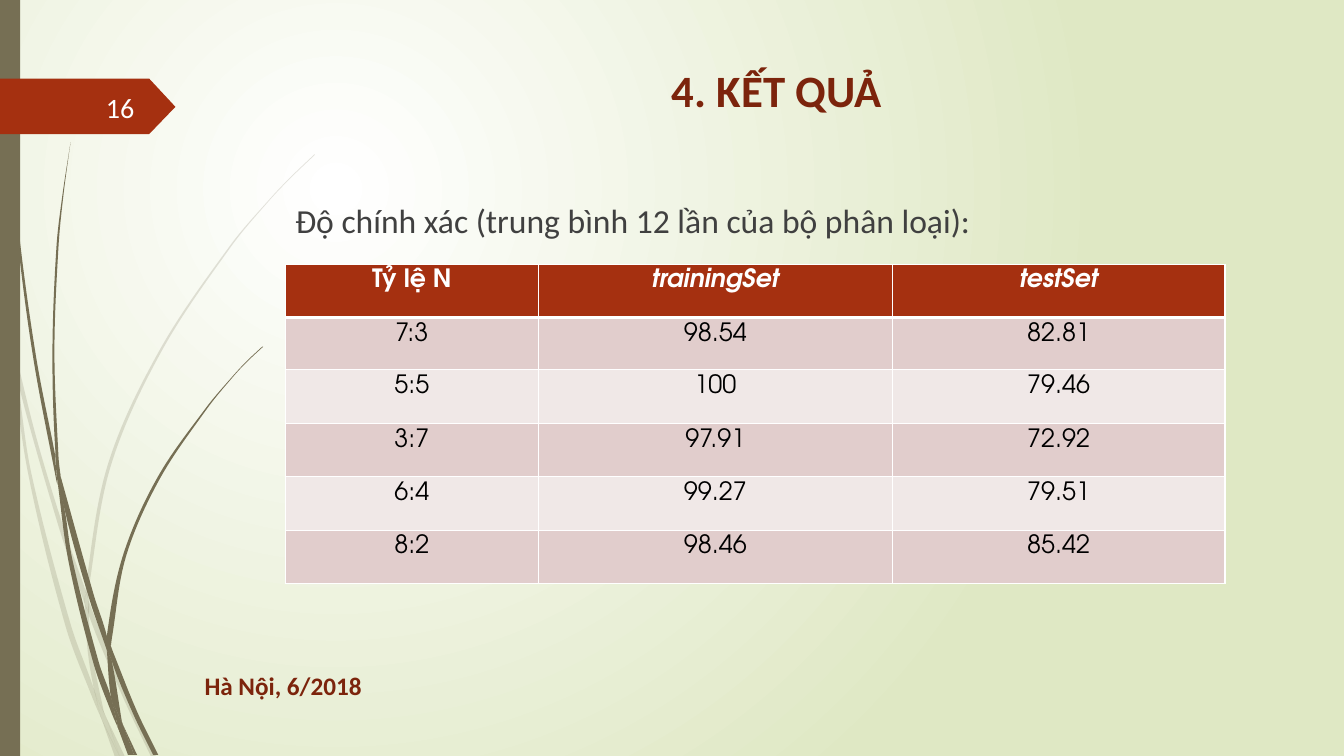
from dataclasses import dataclass
from math import dist

from lxml import etree
from pptx import Presentation
from pptx.dml.color import RGBColor
from pptx.enum.shapes import MSO_SHAPE
from pptx.enum.text import MSO_ANCHOR, PP_ALIGN
from pptx.oxml.ns import qn
from pptx.shapes.autoshape import Shape
from pptx.slide import Slide
from pptx.table import _Cell
from pptx.text.text import _Paragraph
from pptx.util import Emu, Pt

LEFT, CENTER, RIGHT = PP_ALIGN.LEFT, PP_ALIGN.CENTER, PP_ALIGN.RIGHT
TOP, MIDDLE = MSO_ANCHOR.TOP, MSO_ANCHOR.MIDDLE
RECTANGLE = MSO_SHAPE.RECTANGLE
PX = 9144
Point = tuple[float, float]


@dataclass(frozen=True)
class Theme:
    white: str = "FFFFFF"
    number: str = "FEFFFF"
    green: str = "DFE8C4"
    olive: str = "766F54"
    rust: str = "A53010"
    heading: str = "7C240C"
    body: str = "404040"
    black: str = "000000"
    bands: tuple[str, str] = ("E1CDCC", "F0E8E7")
    font: str = "Calibri"
    table_font: str = "TeX Gyre Adventor"
    title_size: int = 32
    body_size: int = 24
    number_size: int = 20
    small_size: int = 18


THEME = Theme()


@dataclass(frozen=True)
class Blade:
    left: tuple[Point, ...]
    right: tuple[Point, ...]


@dataclass(frozen=True)
class Label:
    text: str
    box: tuple[int, int, int, int]
    size: int
    color: str
    bold: bool = False
    align: PP_ALIGN = LEFT
    anchor: MSO_ANCHOR = TOP
    wrap: bool = True
    space_before: int = 0


PALE_BLADES = (
    Blade(((0, 299), (10, 344), (11, 350)), ((0, 282), (9, 322), (11, 350))),
    Blade(((14, 345), (17, 376), (58, 522), (84, 599)), ((14, 345), (36, 434), (62, 520), (85, 586))),
    Blade(((88, 596), (88, 610), (123, 694), (150, 751)), ((88, 596), (92, 607), (127, 692), (155, 751))),
    Blade(((105, 711), (119, 751)), ((105, 711), (124, 751))),
    Blade(((11, 350), (28, 470), (65, 621), (92, 693), (101, 714)),
          ((11, 350), (17, 376), (31, 469), (70, 619), (93, 683), (99, 707), (101, 714))),
    Blade(((84, 599), (87, 646), (93, 683), (96, 692), (105, 711)),
          ((84, 599), (88, 608), (88, 610), (91, 646), (103, 706), (105, 711))),
    Blade(((312, 153), (289, 175), (268, 197), (228, 244), (158, 348), (107, 461), (85, 584), (88, 596)),
          ((312, 154), (290, 175), (268, 198), (229, 245), (160, 349), (110, 462), (88, 584), (88, 596))),
    Blade(((101, 714), (114, 751)), ((101, 714), (119, 751))),
    Blade(((85, 586), (84, 599), (88, 608), (88, 610)), ((85, 586), (88, 596), (88, 610))),
    Blade(((93, 683), (99, 707), (101, 714), (119, 751)), ((93, 683), (96, 692), (105, 711), (119, 751))),
)
DARK_BLADES = (
    Blade(((3, 0), (4, 48), (7, 110), (17, 233), (33, 355), (56, 477), (57, 481)),
          ((4, 0), (5, 48), (8, 109), (19, 232), (36, 355), (55, 453), (55, 457), (57, 481))),
    Blade(((60, 472), (64, 505), (88, 592), (106, 645)), ((60, 472), (93, 590), (106, 631), (106, 645))),
    Blade(((110, 641), (111, 656), (132, 708), (152, 749)), ((110, 641), (113, 649), (136, 706), (157, 749))),
    Blade(((57, 477), (68, 557), (93, 659), (111, 708), (117, 722)),
          ((57, 477), (64, 505), (72, 556), (98, 657), (110, 691), (116, 717), (117, 722))),
    Blade(((70, 141), (62, 193), (56, 245), (52, 349), (55, 449), (60, 472)),
          ((70, 141), (63, 193), (58, 245), (54, 349), (58, 453), (60, 472))),
    Blade(((122, 719), (133, 749)), ((122, 719), (136, 749))),
    Blade(((55, 449), (55, 453), (57, 477), (64, 505)), ((55, 449), (60, 472), (64, 505))),
    Blade(((260, 344), (245, 358), (231, 373), (204, 405), (156, 474), (122, 551), (106, 631), (110, 641)),
          ((261, 344), (245, 359), (231, 374), (205, 406), (158, 476), (125, 552), (111, 633), (110, 641))),
    Blade(((117, 722), (127, 749)), ((117, 722), (131, 749))),
    Blade(((106, 645), (110, 691), (116, 706), (122, 719)), ((106, 645), (111, 656), (121, 716), (122, 719))),
    Blade(((106, 631), (106, 645), (109, 651), (111, 656)), ((106, 631), (110, 641), (111, 656))),
    Blade(((110, 691), (116, 717), (117, 722), (130, 749)), ((110, 691), (116, 706), (122, 719), (133, 749))),
)
BAR = (0, 0, 20, 750)
NUMBER_TAG = ((0, 78), (148, 78), (174, 106), (148, 133), (0, 133))
LABELS = (
    Label("4. KẾT QUẢ", (283, 57, 975, 95), THEME.title_size, THEME.heading, True, CENTER),
    Label("Hà Nội, 6/2018", (193, 660, 179, 40), THEME.small_size, THEME.heading, True, wrap=False),
    Label("16", (58, 86, 85, 40), THEME.number_size, THEME.number, align=RIGHT, anchor=MIDDLE),
    Label("Độ chính xác (trung bình 12 lần của bộ phân loại):", (283, 193, 975, 452),
          THEME.body_size, THEME.body, space_before=10),
)
TABLE_BOX = (283, 262, 932, 316)
COLUMN_WIDTHS = (251, 351, 330)
ROW_HEIGHTS = (53, 52, 53, 53, 53, 53)
ACCURACY = (
    ("Tỷ lệ N", "trainingSet", "testSet"),
    ("7:3", "98.54", "82.81"),
    ("5:5", "100", "79.46"),
    ("3:7", "97.91", "72.92"),
    ("6:4", "99.27", "79.51"),
    ("8:2", "98.46", "85.42"),
)


def px(length: float) -> Emu:
    """Turn a length in px into EMU."""
    return Emu(round(length * PX))


def set_values(target: object, values: dict[str, object]) -> None:
    """Set each named attribute on the target."""
    for name, value in values.items():
        setattr(target, name, value)


def write_text(paragraph: _Paragraph, text: str, align: PP_ALIGN, color: str, font: dict[str, object]) -> None:
    """Put one formatted run into a paragraph."""
    paragraph.alignment = align
    run = paragraph.add_run()
    run.text = text
    set_values(run.font, font)
    run.font.color.rgb = RGBColor.from_string(color)


def curves(knots: tuple[Point, ...]) -> list[tuple[Point, Point, Point]]:
    """Give two handles and an end for each smooth segment."""
    slopes = []
    for index, knot in enumerate(knots):
        before, after = knots[max(index - 1, 0)], knots[min(index + 1, len(knots) - 1)]
        span = dist(before, knot) + dist(knot, after)
        slopes.append(((after[0] - before[0]) / span, (after[1] - before[1]) / span))
    segments = []
    for start, end, leave, arrive in zip(knots, knots[1:], slopes, slopes[1:]):
        reach = dist(start, end) / 3
        segments.append(((start[0] + reach * leave[0], start[1] + reach * leave[1]),
                         (end[0] - reach * arrive[0], end[1] - reach * arrive[1]), end))
    return segments


def paint(shape: Shape, color: str) -> None:
    """Give a shape a plain fill without line or shadow."""
    shape.shadow.inherit = False
    shape.fill.solid()
    shape.fill.fore_color.rgb = RGBColor.from_string(color)
    shape.line.fill.background()


def add_outline(slide: Slide, points: list[Point], color: str) -> Shape:
    """Draw a closed filled outline."""
    corners = [(px(x), px(y)) for x, y in points]
    builder = slide.shapes.build_freeform(*corners[0])
    builder.add_line_segments(corners[1:], close=True)
    shape = builder.convert_to_shape()
    paint(shape, color)
    return shape


def add_blade(slide: Slide, blade: Blade, opacity: int) -> None:
    """Draw one curved piece of grass."""
    tips = (blade.left[-1], blade.right[-1])
    cap = curves(tips) if tips[0] != tips[1] else []
    segments = curves(blade.left) + cap + curves(blade.right[::-1])
    shape = add_outline(slide, [blade.left[0], *(segment[-1] for segment in segments)], THEME.olive)
    for line, segment in zip(list(shape.element.iter(qn("a:lnTo"))), segments):
        curve = etree.Element(qn("a:cubicBezTo"))
        for x, y in segment:
            etree.SubElement(curve, qn("a:pt"), x=str(px(x) - shape.left), y=str(px(y) - shape.top))
        line.getparent().replace(line, curve)
    if opacity < 100:
        color = next(shape.element.spPr.iter(qn("a:srgbClr")))
        etree.SubElement(color, qn("a:alpha"), val=str(opacity * 1000))


def paint_background(slide: Slide) -> None:
    """Fill the background with a round gradient."""
    fill = slide.background.fill
    fill.gradient()
    for stop, color, position in zip(fill.gradient_stops, (THEME.white, THEME.green), (0, 1)):
        stop.color.rgb = RGBColor.from_string(color)
        stop.position = position
    gradient = next(slide.element.iter(qn("a:gradFill")))
    gradient.remove(gradient.find(qn("a:lin")))
    circle = etree.SubElement(gradient, qn("a:path"), path="circle")
    etree.SubElement(circle, qn("a:fillToRect"), l="50000", t="50000", r="100000", b="100000")


def add_label(slide: Slide, label: Label) -> None:
    """Draw one text box."""
    frame = slide.shapes.add_textbox(*map(px, label.box)).text_frame
    set_values(frame, {"word_wrap": label.wrap, "vertical_anchor": label.anchor})
    paragraph = frame.paragraphs[0]
    paragraph.space_before = Pt(label.space_before)
    write_text(paragraph, label.text, label.align, label.color,
               {"name": THEME.font, "size": Pt(label.size), "bold": label.bold})


def add_borders(cell: _Cell, widths: dict[str, int]) -> None:
    """Give a cell white borders with widths in points."""
    for index, (side, width) in enumerate(widths.items()):
        line = etree.Element(qn(f"a:{side}"), w=str(Pt(width)))
        fill = etree.SubElement(line, qn("a:solidFill"))
        etree.SubElement(fill, qn("a:srgbClr"), val=THEME.white)
        cell._tc.get_or_add_tcPr().insert(index, line)


def add_accuracy_table(slide: Slide) -> None:
    """Draw the table of accuracy values."""
    table = slide.shapes.add_table(len(ROW_HEIGHTS), len(COLUMN_WIDTHS), *map(px, TABLE_BOX)).table
    set_values(table, {"first_row": False, "horz_banding": False})
    for column, width in zip(table.columns, COLUMN_WIDTHS):
        column.width = px(width)
    for row_index, (row, height) in enumerate(zip(table.rows, ROW_HEIGHTS)):
        row.height = px(height)
        header = row_index == 0
        fill = THEME.rust if header else THEME.bands[(row_index - 1) % 2]
        borders = {"lnL": 1, "lnR": 1, "lnT": 3 if row_index == 1 else 1, "lnB": 3 if header else 1}
        for column_index, cell in enumerate(row.cells):
            cell.fill.solid()
            cell.fill.fore_color.rgb = RGBColor.from_string(fill)
            add_borders(cell, borders)
            write_text(cell.text_frame.paragraphs[0], ACCURACY[row_index][column_index],
                       CENTER, THEME.white if header else THEME.black,
                       {"name": THEME.table_font, "size": Pt(THEME.small_size),
                        "bold": header, "italic": header and column_index > 0})


def main() -> None:
    """Build the slide and save it."""
    presentation = Presentation()
    set_values(presentation, {"slide_width": px(1333), "slide_height": px(750)})
    slide = presentation.slides.add_slide(presentation.slide_layouts[6])
    paint_background(slide)
    for blades, opacity in ((PALE_BLADES, 20), (DARK_BLADES, 100)):
        for blade in blades:
            add_blade(slide, blade, opacity)
    paint(slide.shapes.add_shape(RECTANGLE, *map(px, BAR)), THEME.olive)
    add_outline(slide, NUMBER_TAG, THEME.rust)
    for label in LABELS:
        add_label(slide, label)
    add_accuracy_table(slide)
    presentation.save("out.pptx")


if __name__ == "__main__":
    main()
